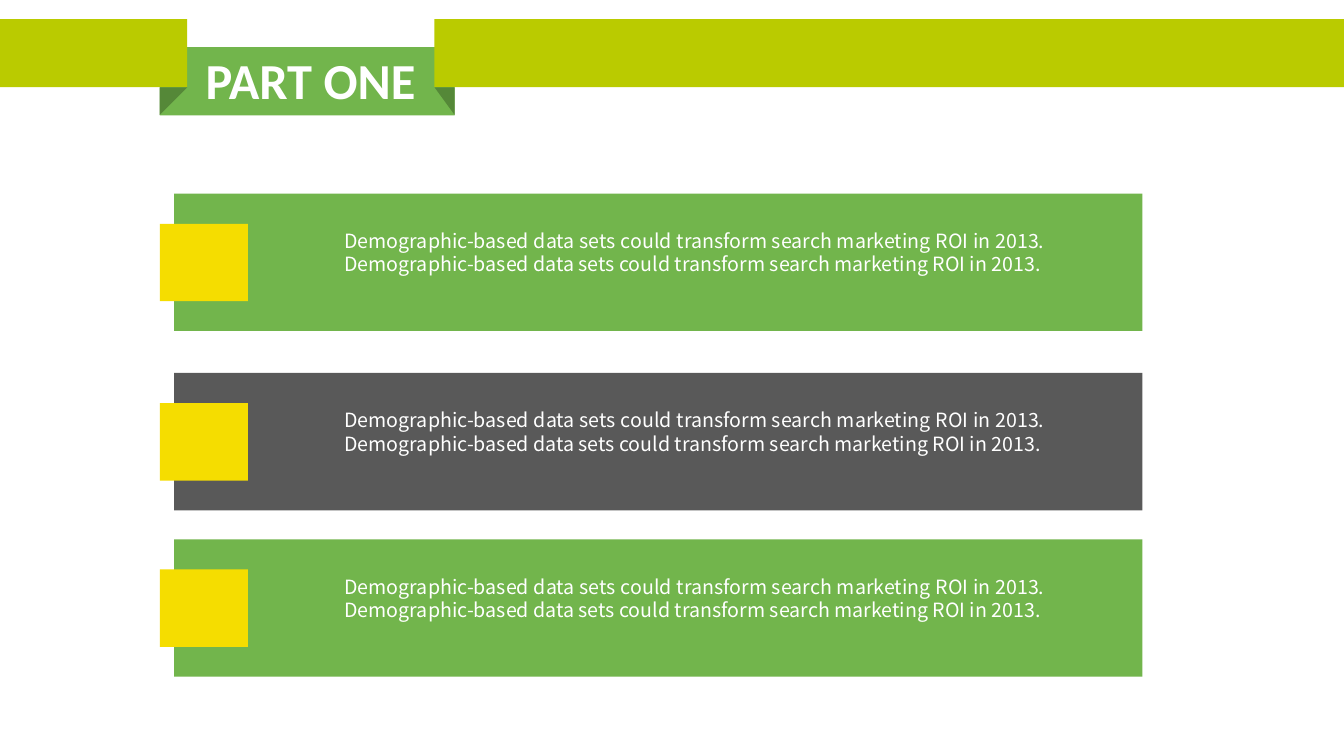
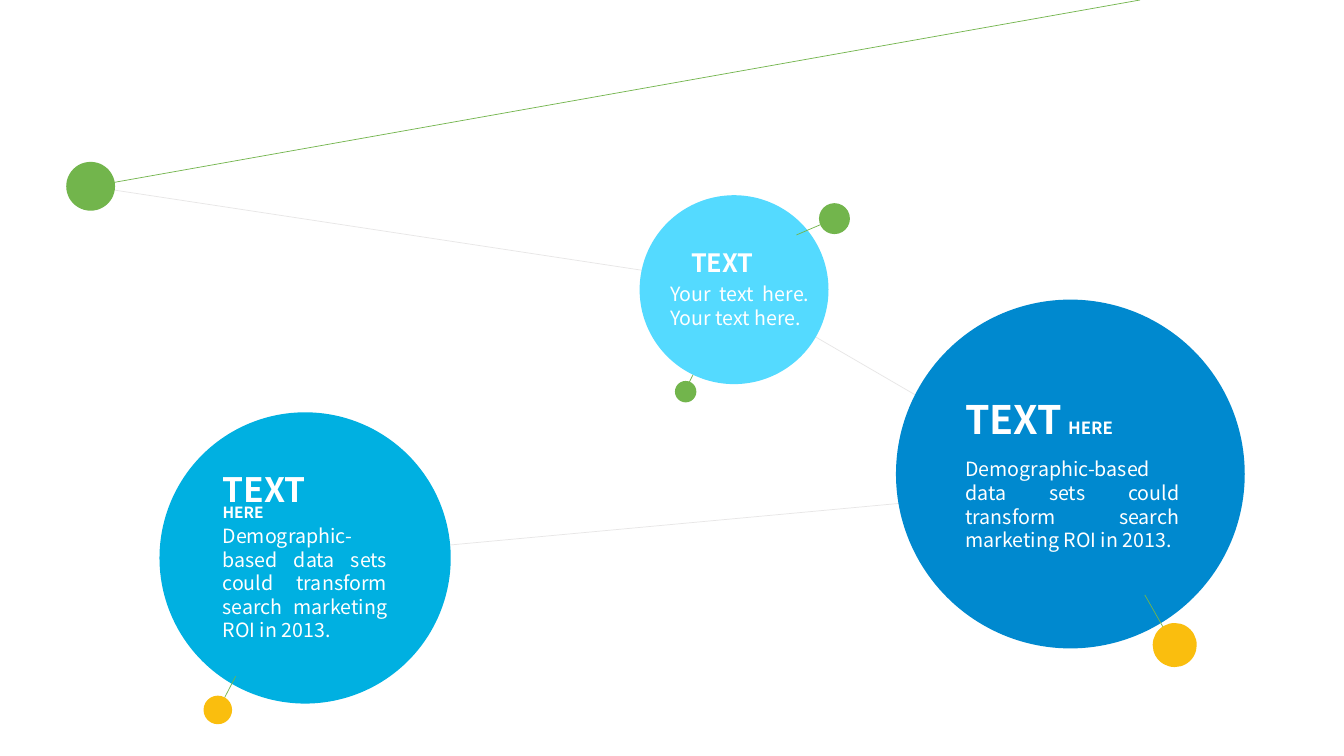
from lxml.etree import SubElement
from pptx import Presentation
from pptx.dml.color import RGBColor
from pptx.enum.shapes import MSO_CONNECTOR, MSO_SHAPE
from pptx.enum.text import MSO_AUTO_SIZE, PP_ALIGN
from pptx.oxml.ns import qn
from pptx.util import Cm, Pt

GREEN = "72B54C"
DARK_GREEN = "558838"
LIME = "BACB00"
YELLOW = "F5DD00"
AMBER = "FABE0E"
GRAY = "595959"
PALE_GRAY = "E7E6E6"
BLUE = "0089CF"
CYAN = "00B0E1"
SKY = "54DAFF"
WHITE = "FFFFFF"
BODY_FONT = "Noto Sans CJK SC"
TITLE_FONT = "Calibri"
SENTENCE = "Demographic-based data sets could transform search marketing ROI in 2013."


def add_filled(slide, kind, box, fill, rotation=0):
    shape = slide.shapes.add_shape(kind, *[Cm(length) for length in box])
    shape.shadow.inherit = False
    shape.fill.solid()
    shape.fill.fore_color.rgb = RGBColor.from_string(fill)
    shape.line.fill.background()
    shape.rotation = rotation


def add_text(slide, box, text, size, font=BODY_FONT, heading=False):
    text_frame = slide.shapes.add_textbox(*[Cm(length) for length in box]).text_frame
    text_frame.text = text
    text_frame.word_wrap = not heading
    text_frame.auto_size = MSO_AUTO_SIZE.SHAPE_TO_FIT_TEXT
    paragraph = text_frame.paragraphs[0]
    paragraph.alignment = PP_ALIGN.LEFT if heading else PP_ALIGN.JUSTIFY
    if font == BODY_FONT:
        paragraph.line_spacing = Pt(size * 1.2)
    run_font = paragraph.runs[0].font
    run_font.name = font
    run_font.size = Pt(size)
    run_font.bold = heading
    run_font.color.rgb = RGBColor.from_string(WHITE)


presentation = Presentation()
presentation.slide_width = Cm(33.87)
presentation.slide_height = Cm(19.05)
blank_layout = presentation.slide_layouts[6]

slide = presentation.slides.add_slide(blank_layout)
for kind, box, fill, rotation in [
    (MSO_SHAPE.RECTANGLE, (4.03, 1.19, 7.43, 1.72), GREEN, 0),
    (MSO_SHAPE.RECTANGLE, (0, 0.48, 4.72, 1.72), LIME, 0),
    (MSO_SHAPE.RECTANGLE, (10.95, 0.48, 22.92, 1.72), LIME, 0),
    (MSO_SHAPE.RIGHT_TRIANGLE, (4.02, 2.2, 0.7, 0.7), DARK_GREEN, 90),
    (MSO_SHAPE.RIGHT_TRIANGLE, (10.95, 2.2, 0.51, 0.7), DARK_GREEN, 180),
]:
    add_filled(slide, kind, box, fill, rotation)
add_text(slide, (4.93, 1.12, 5.87, 1.8), "PART ONE", 36, TITLE_FONT, True)

for top, fill in [(4.88, GREEN), (9.4, GRAY), (13.59, GREEN)]:
    add_filled(slide, MSO_SHAPE.RECTANGLE, (4.39, top, 24.4, 3.46), fill)
    add_filled(slide, MSO_SHAPE.RECTANGLE, (4.03, top + 0.76, 2.22, 1.95), YELLOW)
    add_text(slide, (8.43, top + 0.76, 18.16, 2.06), f"{SENTENCE} {SENTENCE}", 14)

slide = presentation.slides.add_slide(blank_layout)
back_lines = [
    (17.37, 9.63, 17.58, 9.22, GREEN),
    (2.29, 4.7, 16.64, 6.88, PALE_GRAY),
    (7.7, 14.07, 25.2, 12.45, PALE_GRAY),
    (18.49, 7.29, 26.97, 12.22, PALE_GRAY),
    (2.29, 4.7, 28.73, 0, GREEN),
]
back_discs = [
    (17.01, 9.6, 0.54, GREEN),
    (1.67, 4.08, 1.23, GREEN),
    (4.02, 10.39, 7.34, CYAN),
    (22.58, 7.55, 8.79, BLUE),
    (16.12, 4.92, 4.76, SKY),
]
front_lines = [
    (20.68, 5.66, 20.07, 5.92, GREEN),
    (29.31, 15.8, 28.85, 14.99, GREEN),
    (5.66, 17.58, 5.94, 17.04, GREEN),
]
front_discs = [
    (20.64, 5.12, 0.78, GREEN),
    (29.05, 15.7, 1.11, AMBER),
    (5.13, 17.53, 0.72, AMBER),
]
for lines, discs in [(back_lines, back_discs), (front_lines, front_discs)]:
    for *ends, colour in lines:
        connector = slide.shapes.add_connector(
            MSO_CONNECTOR.STRAIGHT, *[Cm(length) for length in ends]
        )
        connector.line.color.rgb = RGBColor.from_string(colour)
        connector.line.width = Pt(0.5)
        SubElement(connector._element.spPr, qn("a:effectLst"))
    for left, top, diameter, fill in discs:
        add_filled(slide, MSO_SHAPE.OVAL, (left, top, diameter, diameter), fill)

for box, text, size in [
    ((5.36, 11.68, 2.95, 1.27), "TEXT", 24),
    ((5.36, 12.55, 1.55, 0.74), "HERE", 11),
    ((24.08, 9.83, 3.38, 1.45), "TEXT", 28),
    ((26.67, 10.39, 1.65, 0.76), "HERE", 12),
    ((17.17, 6.1, 2.34, 1.02), "TEXT", 18),
]:
    add_text(slide, box, text, size, heading=True)

for box, text in [
    ((5.36, 13.08, 4.65, 3.25), SENTENCE),
    ((24.08, 11.4, 5.89, 2.64), SENTENCE),
    ((16.64, 6.98, 4.01, 1.45), "Your text here. Your text here."),
]:
    add_text(slide, box, text, 14)

presentation.save("out.pptx")
